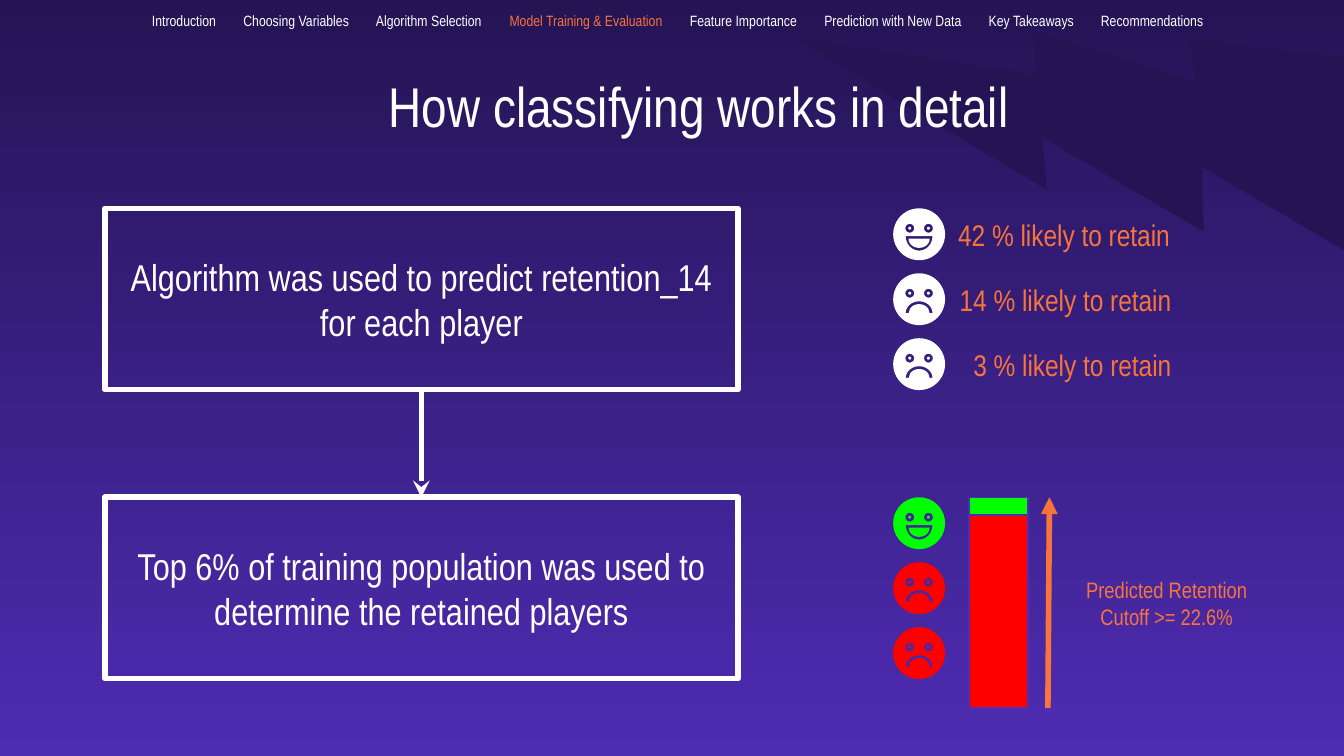
from math import cos, radians, sin

from pptx import Presentation
from pptx.dml.color import RGBColor
from pptx.enum import shapes as kinds, text as txt
from pptx.oxml import ns, xmlchemy
from pptx.util import Pt

FONT = "Arial Narrow"
WHITE, ORANGE, GREEN, RED = "FFFFFF", "F7743C", "00FF00", "FF0000"
NIGHT, VIOLET = "241454", "4E2CB3"
CENTER, LEFT = txt.PP_ALIGN.CENTER, txt.PP_ALIGN.LEFT
MIDDLE, TOP = txt.MSO_ANCHOR.MIDDLE, txt.MSO_ANCHOR.TOP


def color(hex_string):
    return RGBColor.from_string(hex_string)


def points(*lengths):
    return [Pt(length) for length in lengths]


def add_xml(parent, tag, **attributes):
    element = xmlchemy.OxmlElement(tag)
    for name, value in attributes.items():
        element.set(name, str(value))
    parent.append(element)
    return element


def style_font(font, size, ink):
    font.name, font.size, font.bold = FONT, Pt(size), False
    font.color.rgb = color(ink)


def paint(shape, ink):
    shape.shadow.inherit = False
    shape.fill.solid()
    shape.fill.fore_color.rgb = color(ink)
    shape.line.fill.background()


def write(holder, words, size, ink, align=CENTER, anchor=MIDDLE, inset=7.2):
    frame = holder.text_frame
    frame.word_wrap = True
    frame.auto_size = txt.MSO_AUTO_SIZE.NONE
    frame.vertical_anchor = anchor
    frame.margin_left = frame.margin_right = Pt(inset)
    frame.margin_top = frame.margin_bottom = Pt(inset)
    paragraph = frame.paragraphs[0]
    paragraph.text = words
    paragraph.alignment = align
    style_font(paragraph.font, size, ink)
    return paragraph


def add_arrow(parent, start, end, ink, head):
    arrow = parent.add_connector(kinds.MSO_CONNECTOR.STRAIGHT, *points(*start, *end))
    arrow.line.color.rgb = color(ink)
    arrow.line.width = Pt(3)
    properties = arrow.element.spPr
    add_xml(properties.find(ns.qn("a:ln")), "a:tailEnd", type=head)
    add_xml(properties, "a:effectLst")
    return arrow


def add_backdrop(slide):
    fill = slide.background.fill
    fill.gradient()
    fill.gradient_angle = 270
    for stop, position, shade in zip(fill.gradient_stops, (0, 1), (NIGHT, VIOLET)):
        stop.position = position
        stop.color.rgb = color(shade)
    bolt = slide.shapes.add_shape(
        kinds.MSO_SHAPE.LIGHTNING_BOLT, *points(470.2, -59.8, 259.2, 259.2))
    paint(bolt, NIGHT)
    bolt.rotation = 61
    bolt.element.spPr.xfrm.set("flipH", "1")
    bolt.element.addnext(slide.shapes.title.element)


def add_title(slide, words, left, top, width, height):
    title = slide.shapes.title
    title.left, title.top, title.width, title.height = points(left, top, width, height)
    write(title, words, 30, WHITE, anchor=TOP)


def add_navigation(slide, sections, current, left, top, width, height):
    bar = slide.shapes.add_textbox(*points(left, top, width, height))
    paragraph = write(bar, "", 8, WHITE, LEFT, inset=0)
    properties = paragraph._p.get_or_add_pPr()
    tabs = add_xml(properties, "a:tabLst")
    properties.find(ns.qn("a:defRPr")).addprevious(tabs)
    for section, start in sections:
        if start:
            add_xml(tabs, "a:tab", pos=Pt(start), algn="l")
        run = paragraph.add_run()
        run.text = "\t" + section if start else section
        style_font(run.font, 8, ORANGE if section == current else WHITE)


def add_step(slide, words, left, top, width, height):
    step = slide.shapes.add_shape(
        kinds.MSO_SHAPE.RECTANGLE, *points(left, top, width, height))
    step.shadow.inherit = False
    step.fill.background()
    step.line.color.rgb = color(WHITE)
    step.line.width = Pt(3)
    add_xml(step.element.spPr.find(ns.qn("a:ln")), "a:round")
    write(step, words, 20, WHITE)
    return step


def add_curved(group, ink, left, top, width, height, contours):
    builder = group.shapes.build_freeform(*points(left, top))
    corners = [(left + width, top), (left + width, top + height), (left, top + height)]
    builder.add_line_segments([points(*corner) for corner in corners])
    curved = builder.convert_to_shape()
    paint(curved, ink)
    outline = curved.element.spPr.find(".//" + ns.qn("a:path"))
    for segment in list(outline):
        outline.remove(segment)
    for contour in contours:
        for order, (x, y, across, down, start, sweep) in enumerate(contour):
            begin = add_xml(outline, "a:lnTo" if order else "a:moveTo")
            add_xml(begin, "a:pt", x=Pt(x + across * cos(radians(start))),
                    y=Pt(y + down * sin(radians(start))))
            add_xml(outline, "a:arcTo", wR=Pt(across), hR=Pt(down),
                    stAng=start * 60000, swAng=sweep * 60000)
        add_xml(outline, "a:close")


def add_face(slide, happy, ink, left, top, size):
    middle = size / 2
    eyes = [(middle - 5, middle - 3.2), (middle + 5, middle - 3.2)]
    if happy:
        mouth = [(middle, middle + 1, 7.2, 7.8, 0, 180)]
    else:
        mouth = [(middle, middle + 7.4, 7.2, 6.3, 180, 180),
                 (middle, middle + 7.4, 5.6, 4.8, 360, -180)]
    sockets = [[(x, y, 2.4, 2.4, 0, 360)] for x, y in eyes]
    head = [(middle, middle, middle, middle, 0, 360)]
    group = slide.shapes.add_group_shape()
    add_curved(group, ink, left, top, size, size, [head, mouth, *sockets])
    for x, y in eyes:
        pupil = group.shapes.add_shape(
            kinds.MSO_SHAPE.OVAL, *points(left + x - 0.8, top + y - 0.8, 1.6, 1.6))
        paint(pupil, ink)
    if happy:
        add_curved(group, ink, left + middle - 5.7, top + middle + 2.4, 11.4, 4.9,
                   [[(5.7, 0, 5.7, 4.9, 0, 180)]])


def add_faces(slide, inks, left, top, size=27.8, pitch=34.8):
    for row, ink in enumerate(inks):
        add_face(slide, row == 0, ink, left, top + row * pitch, size)


def add_likelihoods(slide, labels, left, top, pitch=34.8):
    for row, (words, shift, indent) in enumerate(labels):
        label = slide.shapes.add_textbox(
            *points(left + shift, top + row * pitch, 157.7, 28))
        write(label, words, 16, ORANGE, LEFT)
        label.text_frame.margin_left = Pt(7.2 + indent)


def add_cutoff(slide, words, left, top, width, height):
    group = slide.shapes.add_group_shape()
    retained = 9.4
    for ink, start, depth in ((RED, retained, height - retained), (GREEN, 0, retained)):
        share = group.shapes.add_shape(
            kinds.MSO_SHAPE.RECTANGLE, *points(left, top + start, width, depth))
        paint(share, ink)
        share.line.color.rgb = color(VIOLET)
        share.line.width = Pt(0.75)
    add_arrow(group.shapes, (left + 42.2, top + height), (left + 43, top),
              ORANGE, "triangle")
    label = slide.shapes.add_textbox(*points(left + 43.2, top + 33.1, 125.3, 47.5))
    write(label, words, 12, ORANGE)


def main():
    deck = Presentation()
    deck.slide_width, deck.slide_height = points(720, 405)
    slide = deck.slides.add_slide(deck.slide_layouts[5])
    add_backdrop(slide)
    add_title(slide, "How classifying works in detail", 56.2, 31, 636.5, 46)
    sections = [("Introduction", 0), ("Choosing Variables", 49),
                ("Algorithm Selection", 120), ("Model Training & Evaluation", 191.6),
                ("Feature Importance", 288.2), ("Prediction with New Data", 360.2),
                ("Key Takeaways", 448.3), ("Recommendations", 508.4)]
    add_navigation(slide, sections, "Model Training & Evaluation", 81.4, 5.8, 636.5, 10.8)
    predict_top, select_top = 111.6, 266.4
    predict = add_step(slide, "Algorithm was used to predict retention_14 for each player",
                       56.2, predict_top, 339.1, 97.2)
    select = add_step(
        slide, "Top 6% of training population was used to determine the retained players",
        56.2, select_top, 339.1, 97.2)
    flow = add_arrow(slide.shapes, (225.8, 208.8), (225.8, 266.4), WHITE, "stealth")
    flow.begin_connect(predict, 2)
    flow.end_connect(select, 0)
    add_faces(slide, [WHITE] * 3, 478.5, predict_top)
    add_likelihoods(slide, [("42 % likely to retain", 0, 0),
                            ("14 % likely to retain", 0.8, 0),
                            ("3 % likely to retain", 0.8, 7.2)], 506.2, predict_top)
    add_faces(slide, [GREEN, RED, RED], 478.5, select_top)
    add_cutoff(slide, "Predicted Retention Cutoff >= 22.6%", 519.2, select_top, 31.6, 113)
    deck.save("out.pptx")


if __name__ == "__main__":
    main()
